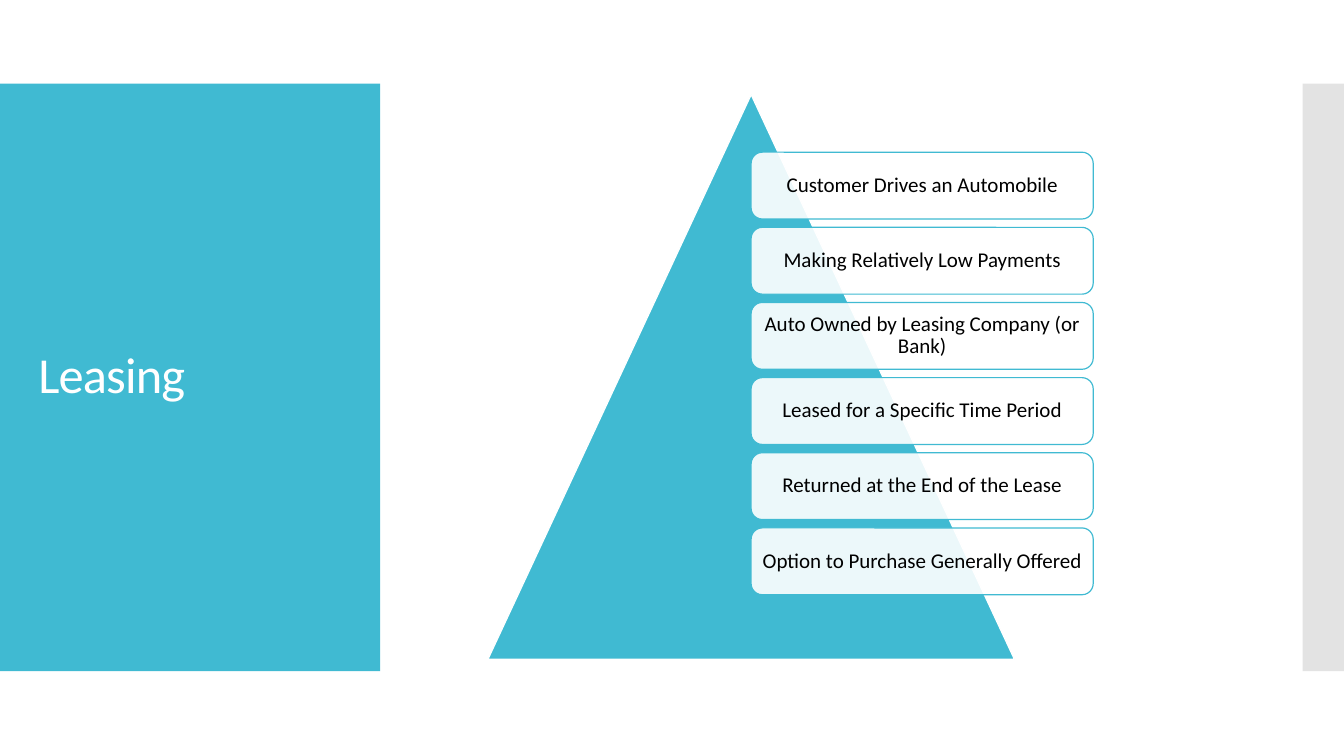
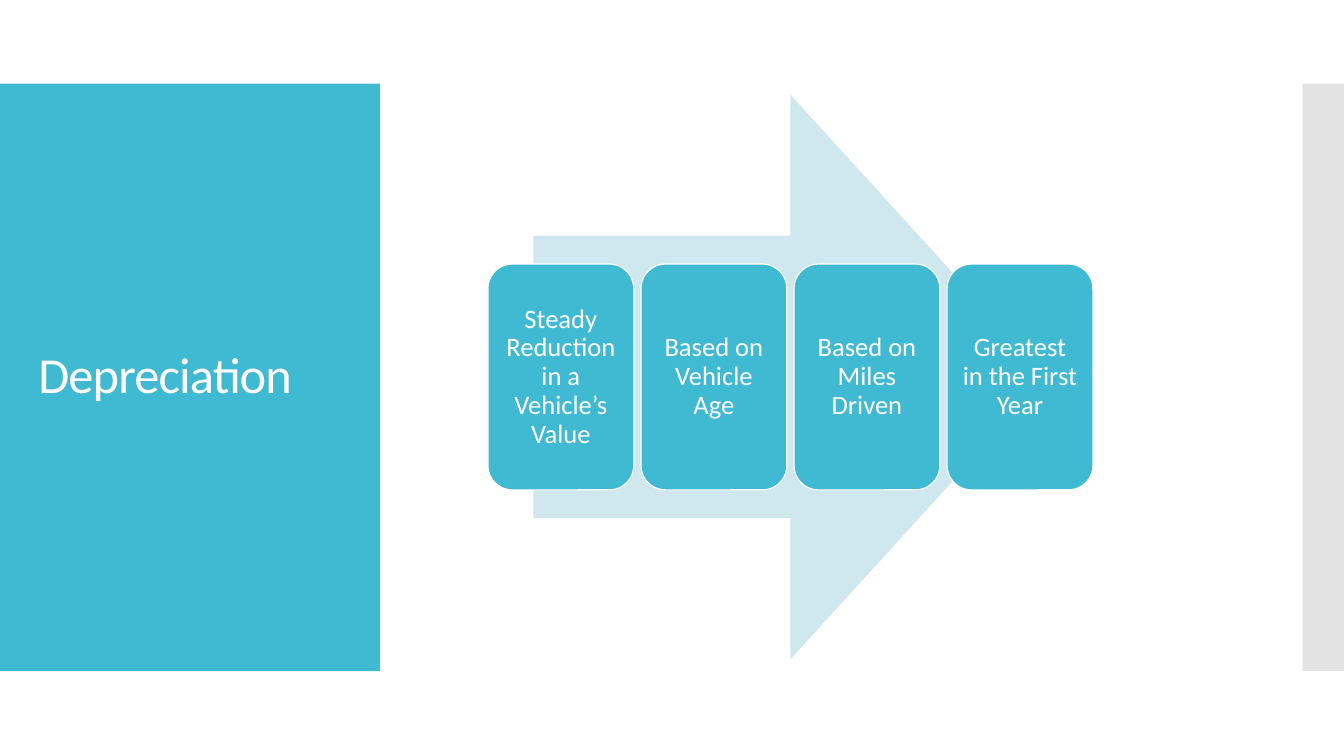
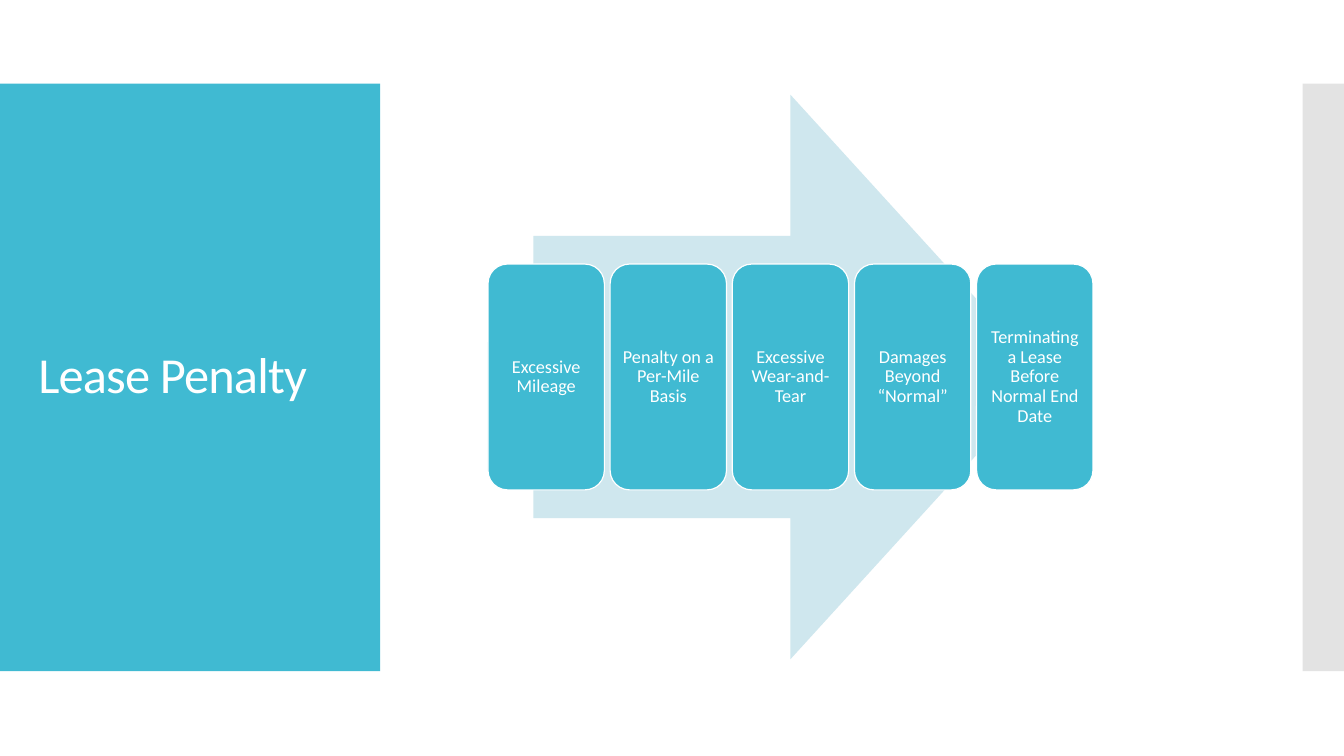
from collections import namedtuple

from lxml import etree
from pptx import Presentation
from pptx.dml.color import RGBColor
from pptx.enum.shapes import MSO_SHAPE as Shape
from pptx.enum.text import MSO_ANCHOR as Anchor, MSO_AUTO_SIZE as AutoSize, PP_ALIGN as Align
from pptx.oxml.ns import qn
from pptx.util import Inches, Pt

TEAL = RGBColor(0x40, 0xBA, 0xD2)
PALE_TEAL = RGBColor(0xCF, 0xE7, 0xEE)
GREY = RGBColor(0xC8, 0xC8, 0xC8)
WHITE = RGBColor(0xFF, 0xFF, 0xFF)
BLACK = RGBColor(0x00, 0x00, 0x00)
FONT = "Calibri"

Box = namedtuple("Box", "left top width height")
TITLE_BAND = Box(0, 0.83, 3.77, 5.83)
EDGE_BAND = Box(12.92, 0.83, 0.42, 5.83)
TITLE = Box(0.28, 1.23, 3.22, 5.03)
DIAGRAM = Box(4.84, 0.94, 6, 5.6)


def add_figure(page, kind, box, fill, line=None, opacity=100):
    figure = page.shapes.add_shape(kind, *map(Inches, box))
    figure.shadow.inherit = False
    figure.fill.solid()
    figure.fill.fore_color.rgb = fill
    if opacity < 100:
        color = figure.element.spPr.find(qn("a:solidFill"))[0]
        etree.SubElement(color, qn("a:alpha"), val=str(opacity * 1000))
    if line is None:
        figure.line.fill.background()
    else:
        figure.line.color.rgb = line
        figure.line.width = Pt(0.85)
    return figure


def write_text(shape, text, size, color, align, inset=None):
    frame = shape.text_frame
    frame.text = text
    frame_format = {"word_wrap": True, "auto_size": AutoSize.NONE,
                    "vertical_anchor": Anchor.MIDDLE}
    if inset is not None:
        for side in ("left", "top", "right", "bottom"):
            frame_format[f"margin_{side}"] = Inches(inset)
    for name, value in frame_format.items():
        setattr(frame, name, value)
    para = frame.paragraphs[0]
    para.alignment = align
    para.line_spacing = 0.9
    span = para.runs[0]
    for name, value in {"name": FONT, "size": Pt(size)}.items():
        setattr(span.font, name, value)
    span.font.color.rgb = color
    return span


def split(box, count, gap_ratio, down=False):
    """Cut a box into equal cells; each gap is a share of one cell."""
    length = box.height if down else box.width
    cell = length / (count + (count - 1) * gap_ratio)
    for index in range(count):
        shift = index * cell * (1 + gap_ratio)
        if down:
            yield Box(box.left, box.top + shift, box.width, cell)
        else:
            yield Box(box.left + shift, box.top, cell, box.height)


def add_bands(layout, page):
    """Draw both side bands and move them behind the layout's placeholders."""
    bands = [add_figure(page, Shape.RECTANGLE, TITLE_BAND, TEAL),
             add_figure(page, Shape.RECTANGLE, EDGE_BAND, GREY, opacity=50)]
    for index, band in enumerate(bands):
        band.element.nvSpPr.cNvPr.set("id", str(100 + index))
        layout.shapes.element.insert(2 + index, band.element)


def add_title(page, text):
    title = page.shapes.title
    for name, value in TITLE._asdict().items():
        setattr(title, name, Inches(value))
    span = write_text(title, text, 36, WHITE, Align.LEFT)
    span.font._element.set("spc", "-60")


def add_pyramid_list(page, box, items):
    pyramid = box._replace(width=5.22)
    add_figure(page, Shape.ISOSCELES_TRIANGLE, pyramid, TEAL, WHITE)
    column = Box(box.left + pyramid.width / 2, box.top + 0.57,
                 pyramid.width * 0.65, 4.39)
    for cell, item in zip(split(column, len(items), 1 / 8, down=True), items):
        card = add_figure(page, Shape.ROUNDED_RECTANGLE, cell, WHITE, TEAL, opacity=90)
        write_text(card, item, 15, BLACK, Align.CENTER, 0.06)


def add_arrow_cards(page, box, items, size, inset):
    arrow = box._replace(left=box.left + box.width * 0.075, width=box.width * 0.85)
    add_figure(page, Shape.RIGHT_ARROW, arrow, PALE_TEAL)
    row = box._replace(top=box.top + box.height * 0.3, height=box.height * 0.4)
    for cell, item in zip(split(row, len(items), 1 / 20), items):
        card = add_figure(page, Shape.ROUNDED_RECTANGLE, cell, TEAL, WHITE)
        write_text(card, item, size, WHITE, Align.CENTER, inset)


def main():
    deck = Presentation()
    deck.slide_width, deck.slide_height = Inches(13.33), Inches(7.5)
    layout = deck.slide_layouts.get_by_name("Title Only")
    leasing, depreciation, penalty = pages = [
        deck.slides.add_slide(layout) for _ in range(3)]
    add_bands(layout, leasing)
    for page, text in zip(pages, ("Leasing", "Depreciation", "Lease Penalty")):
        add_title(page, text)

    add_pyramid_list(leasing, DIAGRAM, [
        "Customer Drives an Automobile",
        "Making Relatively Low Payments",
        "Auto Owned by Leasing Company (or Bank)",
        "Leased for a Specific Time Period",
        "Returned at the End of the Lease",
        "Option to Purchase Generally Offered",
    ])
    add_arrow_cards(depreciation, DIAGRAM, [
        "Steady Reduction in a Vehicle’s Value",
        "Based on Vehicle Age",
        "Based on Miles Driven",
        "Greatest in the First Year",
    ], size=19, inset=0.08)
    add_arrow_cards(penalty, DIAGRAM, [
        "Excessive Mileage",
        "Penalty on a Per-Mile Basis",
        "Excessive Wear-and-Tear",
        "Damages Beyond “Normal”",
        "Terminating a Lease Before Normal End Date",
    ], size=13, inset=0.05)
    deck.save("out.pptx")


if __name__ == "__main__":
    main()
